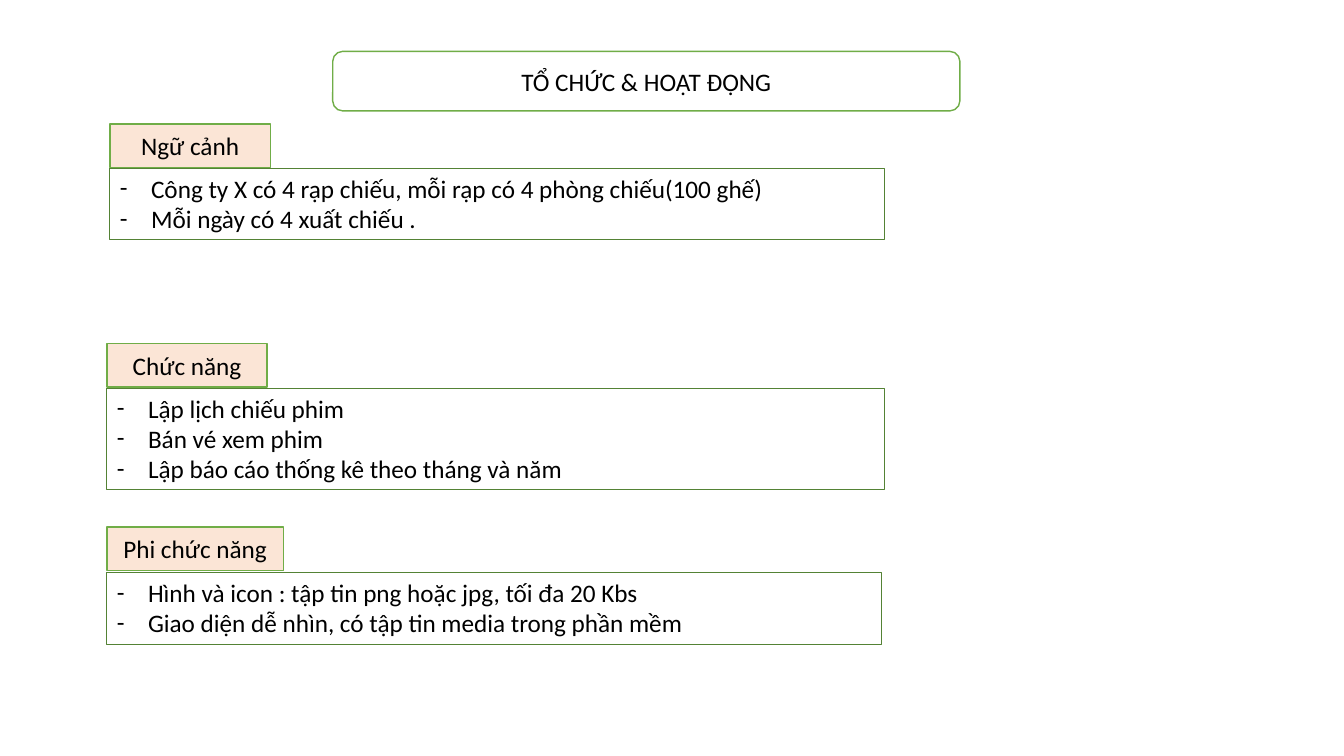
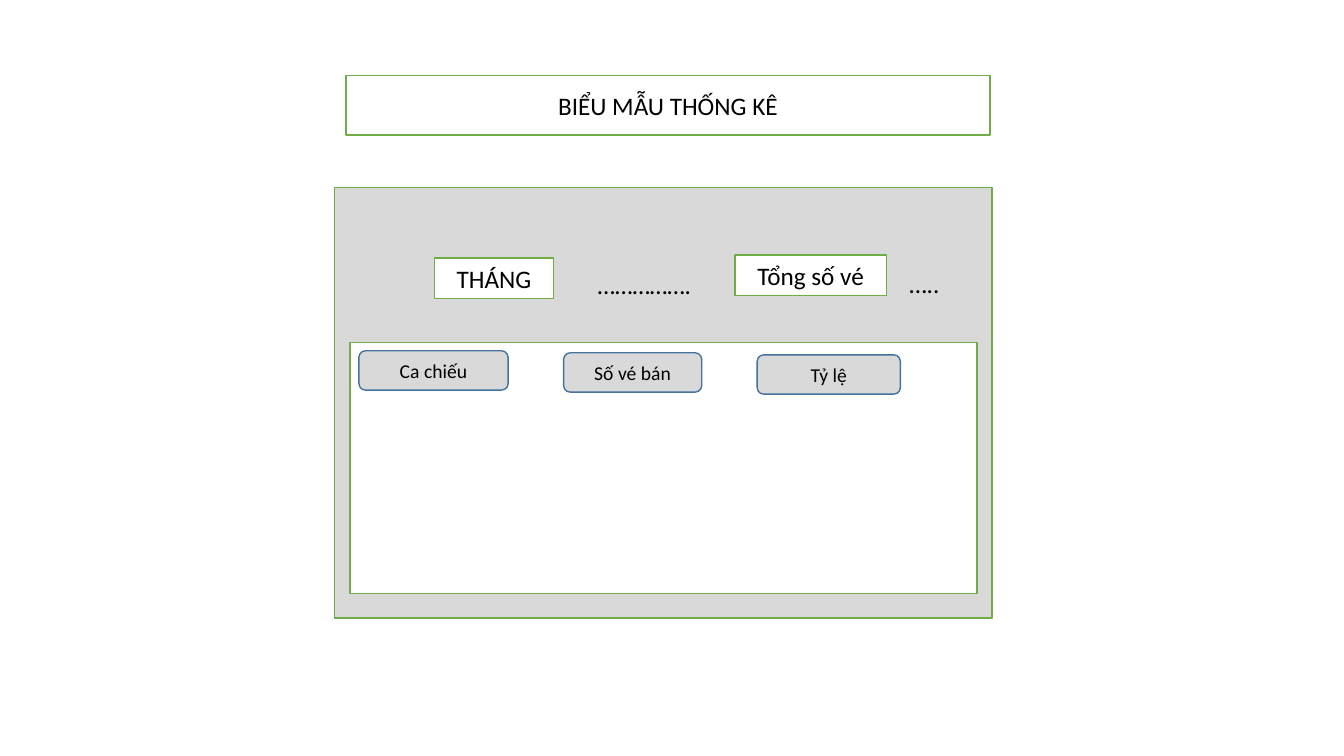
import pptx
import pptx.dml.color
import pptx.enum.shapes
import pptx.enum.text
import pptx.oxml
import pptx.oxml.ns
import pptx.util

EMU_PER_PX = 9144
SHAPES = pptx.enum.shapes.MSO_SHAPE
ALIGN = pptx.enum.text.PP_ALIGN
ANCHOR = pptx.enum.text.MSO_ANCHOR
AUTO_SIZE = pptx.enum.text.MSO_AUTO_SIZE

WHITE, BLACK, GRAY, PEACH = "FFFFFF", "000000", "D9D9D9", "FBE5D6"
GREEN, DARK_GREEN, BLUE = "70AD47", "548235", "43739E"

BODY_FONT = {"name": "Calibri", "size": pptx.util.Pt(18)}
SMALL_FONT = {**BODY_FONT, "size": pptx.util.Pt(14)}
CENTERED_FRAME = {"word_wrap": True, "vertical_anchor": ANCHOR.MIDDLE}
GROWING_FRAME = {
    "word_wrap": True,
    "vertical_anchor": ANCHOR.TOP,
    "auto_size": AUTO_SIZE.SHAPE_TO_FIT_TEXT,
}

TAB_HEIGHT = 43
ROW_HEIGHT = 30
LIST_PADDING = 11
BULLET_INDENT = 31


def px(length):
    """Turn px into EMU."""
    return pptx.util.Emu(length * EMU_PER_PX)


def rgb(value):
    """Turn a hex string into a colour."""
    return pptx.dml.color.RGBColor.from_string(value)


def apply(target, values):
    """Set each attribute in values on the target."""
    for name, value in values.items():
        setattr(target, name, value)


def write(frame, lines, align, frame_format, font_format=BODY_FONT):
    """Write lines as paragraphs and return the paragraphs."""
    apply(frame, frame_format)
    paras = []
    for index, line in enumerate(lines):
        para = frame.add_paragraph() if index else frame.paragraphs[0]
        para.alignment = align
        span = para.add_run()
        span.text = line
        apply(span.font, font_format)
        span.font.color.rgb = rgb(BLACK)
        paras.append(para)
    return paras


def add_box(page, box, fill=WHITE, line=GREEN, weight=1, kind=SHAPES.RECTANGLE):
    """Draw an outlined shape, unfilled when fill is None."""
    shape = page.shapes.add_shape(kind, *map(px, box))
    shape.shadow.inherit = False
    if fill is None:
        shape.fill.background()
    else:
        shape.fill.solid()
        shape.fill.fore_color.rgb = rgb(fill)
    shape.line.color.rgb = rgb(line)
    shape.line.width = pptx.util.Pt(weight)
    return shape


def add_label(page, box, text, font_format=BODY_FONT, **style):
    """Draw a shape with one centred line of text."""
    shape = add_box(page, box, **style)
    write(shape.text_frame, [text], ALIGN.CENTER, CENTERED_FRAME, font_format)


def add_dots(page, box, text):
    """Place a dotted blank to be filled in."""
    frame = page.shapes.add_textbox(*map(px, box)).text_frame
    write(frame, [text], ALIGN.LEFT, GROWING_FRAME)


def add_dash(para):
    """Give a paragraph a hanging dash bullet."""
    properties = para._p.get_or_add_pPr()
    properties.set("marL", str(px(BULLET_INDENT)))
    properties.set("indent", str(px(-BULLET_INDENT)))
    namespace = pptx.oxml.ns.nsdecls("a")
    for xml in (f'<a:buFont {namespace} typeface="Calibri"/>', f'<a:buChar {namespace} char="-"/>'):
        properties.append(pptx.oxml.parse_xml(xml))


def add_section(page, left, top, width, tab_width, gap, heading, lines):
    """Draw a tab heading above a box of dashed lines."""
    height = LIST_PADDING + ROW_HEIGHT * len(lines)
    list_box = (left, top + TAB_HEIGHT + gap, width, height)
    shape = add_box(page, list_box, fill=None, line=DARK_GREEN, weight=0.75)
    for para in write(shape.text_frame, lines, ALIGN.LEFT, GROWING_FRAME):
        add_dash(para)
    add_label(page, (left, top, tab_width, TAB_HEIGHT), heading, fill=PEACH)


def add_form(page, left, top, width, height):
    """Draw the statistics form inside the given box."""
    add_box(page, (left, top, width, height), fill=GRAY)
    add_label(page, (left + 99, top + 70, 118, 40), "THÁNG")
    add_dots(page, (left + 251, top + 76, 159, 40), "…………….")
    add_label(page, (left + 397, top + 67, 150, 40), "Tổng số vé")
    add_dots(page, (left + 560, top + 75, 57, 40), "…..")
    add_results(page, left + 15, top + 154, width - 30, 249)


def add_results(page, left, top, width, height):
    """Draw the result panel with its column buttons."""
    add_box(page, (left, top, width, height))
    columns = [(9, 148, "Ca chiếu"), (212, 137, "Số vé bán"), (404, 142, "Tỷ lệ")]
    for index, (offset, button_width, text) in enumerate(columns):
        box = (left + offset, top + 8 + 2 * index, button_width, 39)
        add_label(page, box, text, SMALL_FONT, fill=GRAY, line=BLUE, kind=SHAPES.ROUNDED_RECTANGLE)


def build_overview(page):
    """Build the organisation and operation slide."""
    add_label(page, (330, 51, 622, 59), "TỔ CHỨC & HOẠT ĐỘNG", kind=SHAPES.ROUNDED_RECTANGLE)
    add_section(page, 109, 123, 768, 159, 1, "Ngữ cảnh", [
        "Công ty X có 4 rạp chiếu, mỗi rạp có 4 phòng chiếu(100 ghế)",
        "Mỗi ngày có 4 xuất chiếu .",
    ])
    add_section(page, 106, 341, 771, 159, 1, "Chức năng", [
        "Lập lịch chiếu phim",
        "Bán vé xem phim",
        "Lập báo cáo thống kê theo tháng và năm",
    ])
    add_section(page, 106, 523, 768, 175, 2, "Phi chức năng", [
        "Hình và icon : tập tin png hoặc jpg, tối đa 20 Kbs",
        "Giao diện dễ nhìn, có tập tin media trong phần mềm",
    ])


def build_statistics(page):
    """Build the statistics form slide."""
    add_label(page, (343, 75, 639, 59), "BIỂU MẪU THỐNG KÊ")
    add_form(page, 332, 186, 652, 427)


def main():
    """Build and save the deck."""
    deck = pptx.Presentation()
    apply(deck, {"slide_width": px(1333), "slide_height": px(750)})
    for build in (build_overview, build_statistics):
        build(deck.slides.add_slide(deck.slide_layouts[6]))
    deck.save("out.pptx")


if __name__ == "__main__":
    main()
